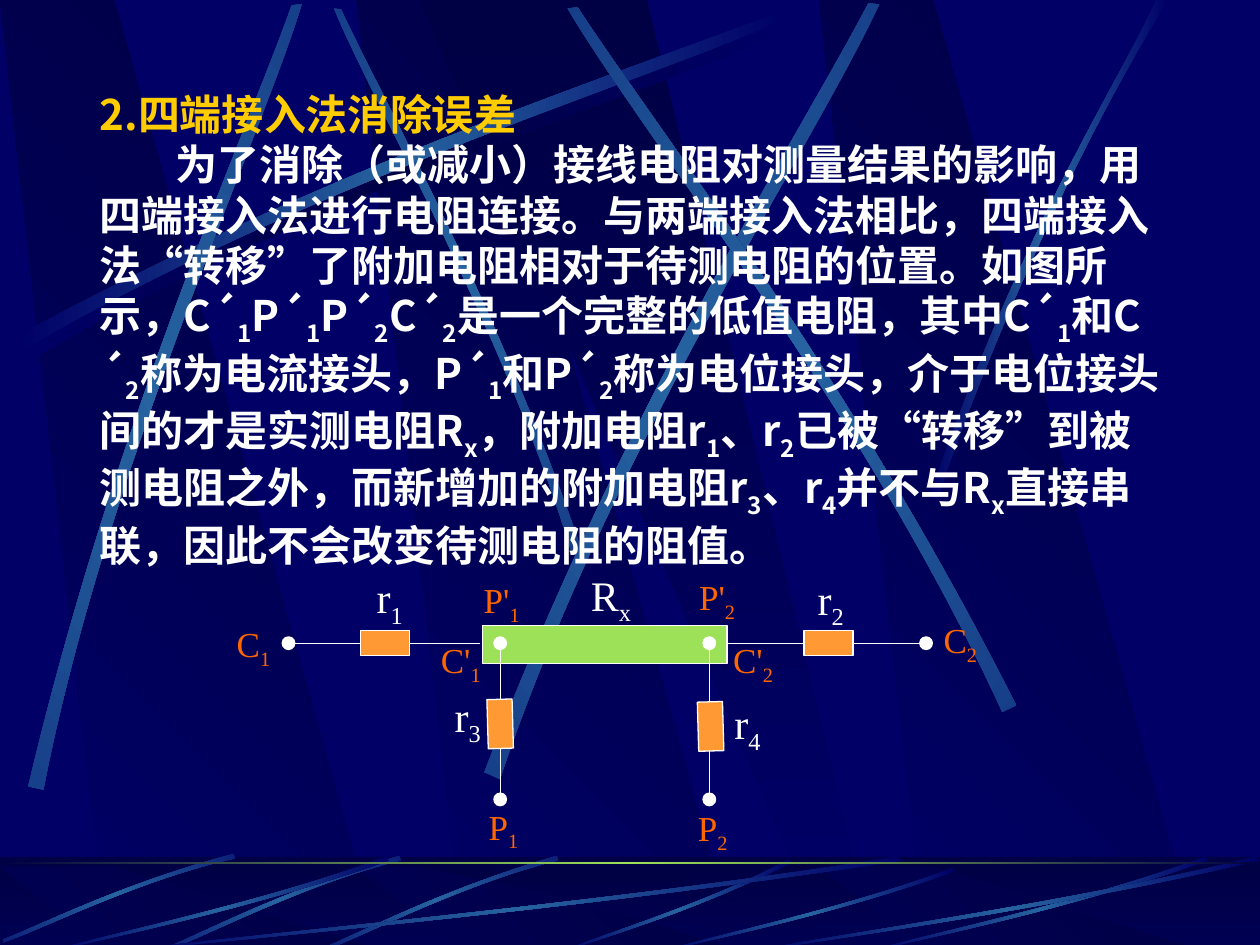
from dataclasses import dataclass

from lxml.etree import SubElement
from pptx import Presentation
from pptx.dml.color import RGBColor
from pptx.enum.shapes import MSO_CONNECTOR as Connector, MSO_SHAPE as Shape
from pptx.enum.text import MSO_ANCHOR as Anchor, MSO_AUTO_SIZE as AutoSize, PP_ALIGN as Align
from pptx.oxml.ns import qn
from pptx.util import Inches, Pt


@dataclass(frozen=True)
class Theme:
    base: str = "000066"
    dark: str = "000044"
    beam: str = "2663A0"
    beam_end: str = "10307F"
    green: str = "9CE157"
    orange: str = "FF9933"
    terminal: str = "FF6600"
    heading: str = "FFCC00"
    white: str = "FFFFFF"
    sans: str = "Noto Sans CJK SC"
    serif: str = "Times New Roman"
    text_size: int = 24
    label_size: int = 20


@dataclass(frozen=True)
class Box:
    left: float
    top: float
    width: float
    height: float

    def share(self, x, y):
        return Inches(self.left + x * self.width), Inches(self.top + y * self.height)

    def cell(self, column, row):
        """Position on a grid of tenths of an inch."""
        return Inches(self.left + column / 10), Inches(self.top + row / 10)

    def lengths(self):
        return [Inches(value) for value in (self.left, self.top, self.width, self.height)]


THEME = Theme()
FADE = (THEME.base, THEME.beam, THEME.base)
SOFT_FADE = (THEME.beam_end, THEME.beam, THEME.beam_end)

# Outlines as shares of their box; strokes are two cubic curves
PANEL = [(0.28, 1), (1, 1), (0.3, 0), (0, 0)]
WEDGE = [(0, 0), (0.9, 1), (1, 1), (0.5, 0)]
BEAM = [(0, 0.96), (0.43, 0.43), (0.83, 0.15), (0.99, 0),
        (1, 0.02), (0.84, 0.19), (0.38, 0.5), (0.01, 1)]
MIRRORED = [(1 - x, y) for x, y in BEAM]
UPRIGHT = [(0, 0.99), (0.4, 0.44), (0.79, 0.17), (0.95, 0),
           (1, 0), (0.52, 0.37), (0.16, 0.81), (0.03, 1)]
RAY = [(1, 0.04), (0.57, 0.57), (0.17, 0.85), (0, 1),
       (0, 0.99), (0.17, 0.81), (0.61, 0.5), (0.99, 0)]

HEADING = "2.四端接入法消除误差"
# An underscore makes the next character a subscript
BODY = ("为了消除（或减小）接线电阻对测量结果的影响，用四端接入法进行电阻连接。"
        "与两端接入法相比，四端接入法“转移”了附加电阻相对于待测电阻的位置。"
        "如图所示，C´_1P´_1P´_2C´_2是一个完整的低值电阻，其中C´_1和C´_2称为电流接头，"
        "P´_1和P´_2称为电位接头，介于电位接头间的才是实测电阻R_x，附加电阻r_1、r_2已被"
        "“转移”到被测电阻之外，而新增加的附加电阻r_3、r_4并不与R_x直接串联，"
        "因此不会改变待测电阻的阻值。")


def color(value):
    return RGBColor.from_string(value)


def paint(shape, fill, line=None):
    shape.shadow.inherit = False
    shape.fill.solid()
    shape.fill.fore_color.rgb = color(fill)
    if line:
        shape.line.color.rgb = color(line)
        shape.line.width = Pt(0.75)
    else:
        shape.line.fill.background()


def paint_gradient(shape, colors, angle=0):
    paint(shape, colors[0])
    properties = shape.fill._xPr
    solid = properties.find(qn("a:solidFill"))
    gradient = SubElement(properties, qn("a:gradFill"), rotWithShape="1")
    properties.replace(solid, gradient)
    stops = SubElement(gradient, qn("a:gsLst"))
    for index, value in enumerate(colors):
        position = 100000 * index // (len(colors) - 1)
        stop = SubElement(stops, qn("a:gs"), pos=str(position))
        SubElement(stop, qn("a:srgbClr"), val=value)
    SubElement(gradient, qn("a:lin"), ang=str(angle * 60000), scaled="0")


def add_outline(slide, box, points, colors, angle=0, rotation=0):
    start, *rest = [box.share(*point) for point in points]
    builder = slide.shapes.build_freeform(*start)
    builder.add_line_segments(rest, close=True)
    shape = builder.convert_to_shape()
    paint_gradient(shape, colors, angle)
    shape.rotation = rotation
    return shape


def add_stroke(slide, box, points, colors=FADE, rotation=0):
    shape = add_outline(slide, box, points, colors, rotation=rotation)
    # Turn the three segments along each long side into one cubic curve
    segments = list(shape._element.iter(qn("a:lnTo")))
    for side in (segments[:3], segments[4:7]):
        outline = side[0].getparent()
        curve = SubElement(outline, qn("a:cubicBezTo"))
        outline.insert(outline.index(side[0]), curve)
        for segment in side:
            curve.append(segment[0])
            outline.remove(segment)


def add_panels(slide, top, height):
    for left in (2.83, 0, 6.5):
        add_outline(slide, Box(left, top, 3.02, height), PANEL, (THEME.base, THEME.dark), 315)
    add_outline(slide, Box(3.33, top, 3.61, height), WEDGE, (THEME.dark, THEME.base), 90)


def add_backdrop(slide, box):
    slide.background.fill.solid()
    slide.background.fill.fore_color.rgb = color(THEME.base)
    add_panels(slide, box.top, box.height)
    # Long beams
    add_stroke(slide, Box(0.2, 0.18, 6.08, 2.67), BEAM, (THEME.base, THEME.dark, THEME.base))
    add_stroke(slide, Box(1.41, 1.35, 4.42, 1.75), MIRRORED, SOFT_FADE, 45)
    add_stroke(slide, Box(0.14, 0.1, 6.08, 2.67), BEAM)
    add_stroke(slide, Box(-1.71, 1.82, 6.08, 2.67), BEAM, SOFT_FADE, 311.7)
    add_stroke(slide, Box(2.31, 1.6, 6.24, 3.01), BEAM, SOFT_FADE, 321.6)
    add_stroke(slide, Box(3.23, 1.52, 6.08, 2.67), MIRRORED, SOFT_FADE, 34.8)
    add_stroke(slide, Box(7.38, 0, 1.89, 3.97), UPRIGHT)


def add_floor(slide, box):
    band = slide.shapes.add_shape(Shape.RECTANGLE, *box.lengths())
    paint_gradient(band, (THEME.dark, THEME.base), 90)
    add_panels(slide, box.top + 0.08, 0.66)
    veil = slide.shapes.add_shape(Shape.RECTANGLE, *box.lengths())
    paint(veil, THEME.dark)
    SubElement(veil.fill._xPr.find(qn("a:solidFill"))[0], qn("a:alpha"), val="50000")
    # Reflected beams
    add_stroke(slide, Box(4.48, 6.82, 1.8, 0.73), RAY)
    for left, top, width, height in ((2.58, 6.76, 1.84, 0.83), (1.33, 6.76, 1.84, 0.83),
                                     (0.05, 6.71, 1.79, 0.85)):
        add_stroke(slide, Box(left, top, width, height), MIRRORED, rotation=314.9)
    for left, width in ((1, 6.17), (0.42, 2.67), (6.92, 2.67), (6, 4)):
        add_stroke(slide, Box(left, box.top, width, box.height), RAY)
    add_stroke(slide, Box(5.27, 6.89, 2.31, 0.66), RAY)
    # Horizon
    horizon = slide.shapes.add_shape(Shape.RECTANGLE, *Box(box.left, 6.84, box.width, 0.02).lengths())
    paint_gradient(horizon, (THEME.dark, THEME.green, THEME.dark))


def write(paragraph, text, size, font_color, typeface, bold=False):
    """Write text in runs, lowering each character that follows an underscore."""
    first, *rest = text.split("_")
    pieces = [(first, False)]
    for part in rest:
        pieces += [(part[0], True), (part[1:], False)]
    for piece, lowered in pieces:
        if not piece:
            continue
        run = paragraph.add_run()
        run.text = piece
        for name, value in {"size": Pt(size), "bold": bold, "name": typeface}.items():
            setattr(run.font, name, value)
        run.font.color.rgb = color(font_color)
        properties = run.font._element
        SubElement(properties, qn("a:ea"), typeface=THEME.sans)
        if lowered:
            properties.set("baseline", "-25000")


def fill_placeholder(placeholder, box, text, font_color, indent=0):
    for name, value in zip(("left", "top", "width", "height"), box.lengths()):
        setattr(placeholder, name, value)
    frame = placeholder.text_frame
    for name, value in {"word_wrap": True, "auto_size": AutoSize.NONE,
                        "vertical_anchor": Anchor.TOP}.items():
        setattr(frame, name, value)
    paragraph = frame.paragraphs[0]
    paragraph.alignment = Align.LEFT
    paragraph.space_before = Pt(0)
    properties = paragraph._p.get_or_add_pPr()
    for name, value in {"marL": 0, "indent": Inches(indent), "hangingPunct": 0}.items():
        properties.set(name, str(value))
    SubElement(properties, qn("a:buNone"))
    write(paragraph, text, THEME.text_size, font_color, THEME.sans, bold=True)


def add_explanation(slide, box):
    heading_height = 0.4
    fill_placeholder(slide.shapes.title, Box(box.left, box.top, box.width, heading_height),
                     HEADING, THEME.heading)
    fill_placeholder(slide.placeholders[1],
                     Box(box.left, box.top + heading_height, box.width, box.height - heading_height),
                     BODY, THEME.white, indent=0.6)


def add_circuit(slide, box):
    shapes = slide.shapes

    def add_part(kind, column, row, width, height, fill, rotation=0):
        corner = box.cell(column - width / 2, row - height / 2)
        shape = shapes.add_shape(kind, *corner, Inches(width / 10), Inches(height / 10))
        paint(shape, fill, THEME.white)
        shape.rotation = rotation

    wire_row, end_row, tap_columns = 6.35, 18.75, (16.8, 33.4)
    # Measured resistor and wires
    add_part(Shape.RECTANGLE, 25.1, 6.45, 19.4, 3, THEME.green)
    wires = [((0.5, wire_row), (15.2, wire_row)), ((34.9, wire_row), (50.1, wire_row))]
    wires += [((column, end_row), (column, wire_row)) for column in tap_columns]
    for start, end in wires:
        wire = shapes.add_connector(Connector.STRAIGHT, *box.cell(*start), *box.cell(*end))
        wire.line.color.rgb = color(THEME.white)
        wire.line.width = Pt(0.75)
        SubElement(wire._element.spPr, qn("a:effectLst"))
    # Lead resistors
    for column, row, rotation in ((7.65, wire_row, 0), (42.85, wire_row, 0),
                                  (16.8, 12.75, 268.4), (33.5, 12.95, 268.4)):
        add_part(Shape.RECTANGLE, column, row, 3.9, 2, THEME.orange, rotation)
    # Terminals
    for column in (0, *tap_columns, 50.6):
        add_part(Shape.OVAL, column, wire_row, 1, 1, THEME.white)
    for column in tap_columns:
        add_part(Shape.OVAL, column, end_row, 1, 1, THEME.white)
    # Labels: text, column, row, width
    resistors = [("r_1", 6, 0.2, 4.1), ("r_2", 41, 0.3, 4.1), ("r_3", 12.2, 9.6, 4.1),
                 ("r_4", 34.4, 10.2, 4.1), ("R_x", 23, 0, 7.8)]
    terminals = [("C_1", -5.1, 4.2, 6), ("C_2", 51, 3.9, 5.8), ("P_1", 14.9, 18.7, 7.9),
                 ("P_2", 31.5, 18.8, 6.8), ("C'_1", 11.1, 5.5, 7.9), ("C'_2", 34.3, 5.5, 8.4),
                 ("P'_1", 14.5, 0.7, 7.9), ("P'_2", 31.6, 0.5, 6.8)]
    for labels, size, height, font_color in ((resistors, THEME.text_size, 0.56, THEME.white),
                                             (terminals, THEME.label_size, 0.48, THEME.terminal)):
        for text, column, row, width in labels:
            label = shapes.add_textbox(*box.cell(column, row), Inches(width / 10), Inches(height))
            label.text_frame.word_wrap = not text.startswith("r")
            write(label.text_frame.paragraphs[0], text, size, font_color, THEME.serif)


def main():
    presentation = Presentation()
    presentation.slide_width, presentation.slide_height = Inches(10), Inches(7.5)
    slide = presentation.slides.add_slide(presentation.slide_layouts[1])
    placeholders = [placeholder._element for placeholder in slide.placeholders]
    add_backdrop(slide, Box(0, 0, 10, 7.52))
    add_floor(slide, Box(0, 6.8, 10, 0.75))
    # Bring the text in front of the backdrop
    for element in placeholders:
        element.getparent().append(element)
    add_explanation(slide, Box(0.69, 0.65, 8.72, 3.98))
    add_circuit(slide, Box(2.29, 4.47, 5.06, 2.38))
    presentation.save("out.pptx")


if __name__ == "__main__":
    main()
